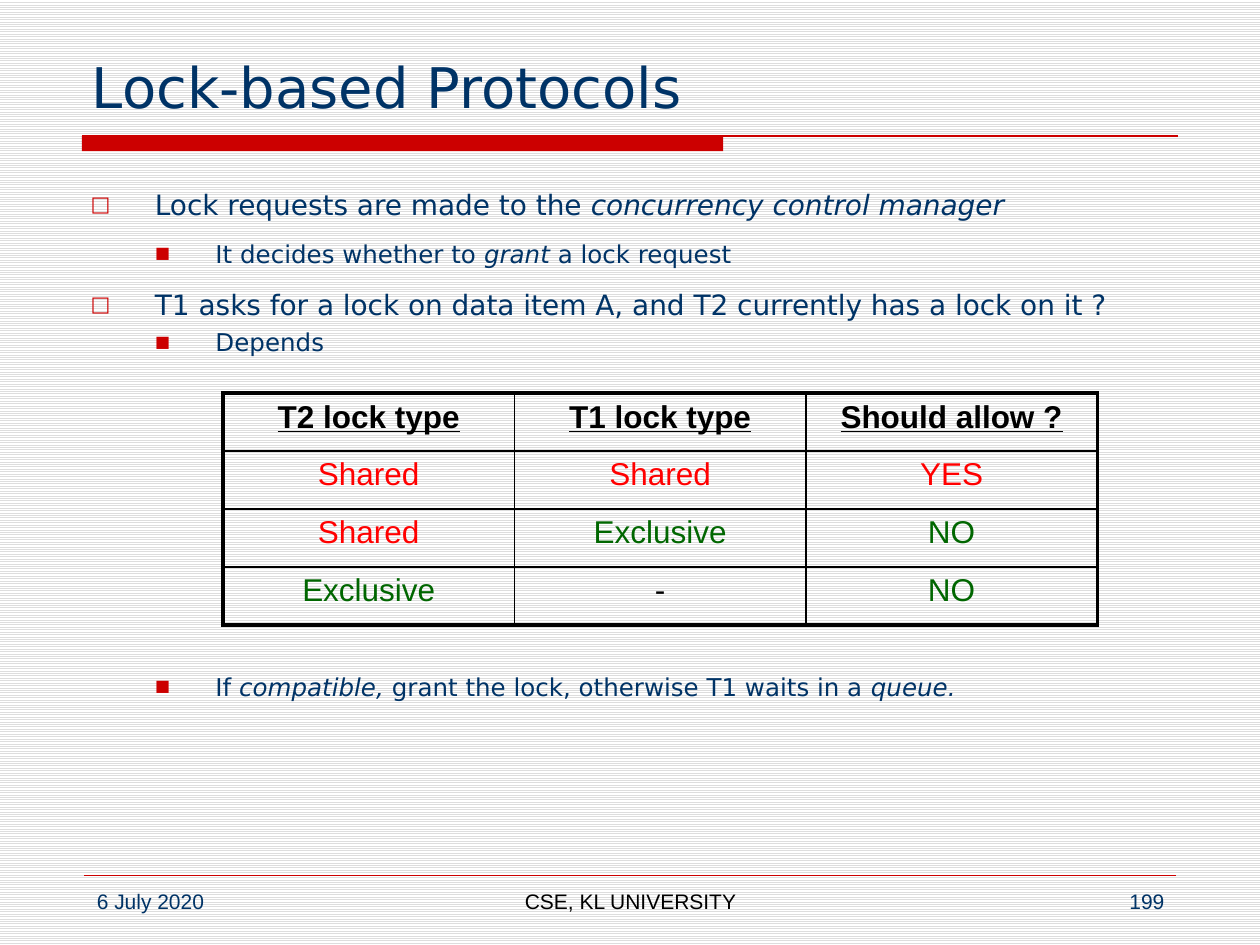
from lxml.etree import SubElement
from pptx import Presentation
from pptx.dml.color import RGBColor
from pptx.enum.dml import MSO_PATTERN
from pptx.enum.shapes import MSO_CONNECTOR, MSO_SHAPE
from pptx.enum.text import MSO_ANCHOR, MSO_AUTO_SIZE, PP_ALIGN
from pptx.oxml.ns import qn
from pptx.util import Inches, Pt

deck = Presentation()
deck.slide_width, deck.slide_height = Inches(10), Inches(7.5)
WIDE, HIGH = deck.slide_width, deck.slide_height
NAVY, RED, BLACK = "003366", "CC0000", "000000"
SANS = "DejaVu Sans"


def area(*shares):
    return [int(s * size / 100) for s, size in zip(shares, (WIDE, HIGH) * 2)]


def style(item, size, face, tint):
    item.font.size, item.font.name = Pt(size), face
    item.font.color.rgb = RGBColor.from_string(tint)


slide = deck.slides.add_slide(deck.slide_layouts[1])
shapes = slide.shapes
back = slide.background.fill
back.patterned()
back.pattern = MSO_PATTERN.LIGHT_HORIZONTAL
back.fore_color.rgb = RGBColor.from_string("DDDDDD")
back.back_color.rgb = RGBColor.from_string("FFFFFF")

bar = shapes.add_shape(MSO_SHAPE.RECTANGLE, *area(6.5, 14.4, 50.9, 1.6))
bar.shadow.inherit = False
bar.fill.solid()
bar.fill.fore_color.rgb = RGBColor.from_string(RED)
bar.line.fill.background()

for left, right, row, weight in [(6.5, 93.5, 14.4, 0.75), (6.7, 93.3, 92.67, 0.25)]:
    rule = shapes.add_connector(MSO_CONNECTOR.STRAIGHT, *area(left, row, right, row))
    rule.line.color.rgb = RGBColor.from_string(RED)
    rule.line.width = Pt(weight)
    SubElement(rule._element.spPr, qn("a:effectLst"))

title, body = shapes.title, slide.placeholders[1]
title.left, title.top, title.width, title.height = area(6.3, 2.27, 87.5, 11.07)
body.left, body.top, body.width, body.height = area(6.2, 17.73, 87.5, 73.33)
for holder in (title, body):
    holder.text_frame.auto_size = MSO_AUTO_SIZE.NONE
title.text_frame.vertical_anchor = MSO_ANCHOR.BOTTOM
title.text_frame.text = "Lock-based Protocols"
head = title.text_frame.paragraphs[0]
head.alignment = PP_ALIGN.LEFT
style(head, 32, SANS, NAVY)

levels = [("□", 16, 5.1, 5.1, 75), ("■", 14, 9.9, 4.8, 65)]
points = [
    (0, 1.4, 0, ["Lock requests are made to the ", "concurrency control manager"]),
    (1, 1.4, 3.5, ["It decides whether to ", "grant ", "a lock request"]),
    (0, 1.4, 3.5, ["T1 asks for a lock on data item A, and T2 currently has a lock on it ?"]),
    (1, 1, 3.5, ["Depends"]),
    (1, 1, 180, ["If ", "compatible, ", "grant the lock, otherwise T1 waits in a ", "queue."]),
]
frame = body.text_frame
for n, (level, pitch, gap, parts) in enumerate(points):
    para = frame.add_paragraph() if n else frame.paragraphs[0]
    mark, size, margin, hang, scale = levels[level]
    para.level = level
    props = para._p.get_or_add_pPr()
    props.set("marL", str(int(margin * WIDE / 100)))
    props.set("indent", str(-int(hang * WIDE / 100)))
    tone = SubElement(props, qn("a:buClr"))
    SubElement(tone, qn("a:srgbClr"), val=RED)
    SubElement(props, qn("a:buSzPct"), val=str(scale * 1000))
    SubElement(props, qn("a:buFont"), typeface=SANS)
    SubElement(props, qn("a:buChar"), char=mark)
    para.line_spacing, para.space_before = pitch, Pt(gap)
    style(para, size, SANS, NAVY)
    for k, part in enumerate(parts):
        run = para.add_run()
        run.text = part
        if k % 2:
            run.font.italic = True

tints = {"Shared": "FF0000", "YES": "FF0000", "Exclusive": "006600", "NO": "006600"}
rows = [
    ["T2 lock type", "T1 lock type", "Should allow ?"],
    ["Shared", "Shared", "YES"],
    ["Shared", "Exclusive", "NO"],
    ["Exclusive", "-", "NO"],
]
grid = shapes.add_table(4, 3, *area(17.7, 41.6, 69.4, 24.53)).table
grid.first_row = grid.horz_banding = False
for r, row in enumerate(rows):
    for c, word in enumerate(row):
        cell = grid.cell(r, c)
        cell.text = word
        para = cell.text_frame.paragraphs[0]
        para.alignment = PP_ALIGN.CENTER
        style(para, 18, "Arial", tints.get(word, BLACK))
        para.font.bold = para.font.underline = r == 0
        props = cell._tc.get_or_add_tcPr()
        for side, outer in [("L", c == 0), ("R", c == 2), ("T", r == 0), ("B", r == 3)]:
            edge = SubElement(props, qn("a:ln" + side), w=str(Pt(2.25 if outer else 1)))
            ink = SubElement(edge, qn("a:solidFill"))
            SubElement(ink, qn("a:srgbClr"), val=BLACK)
        cell.fill.background()

foot = [
    (6.7, 21.7, "6 July 2020", PP_ALIGN.LEFT, NAVY),
    (34.2, 31.7, "CSE, KL UNIVERSITY", PP_ALIGN.CENTER, BLACK),
    (71.7, 21.7, "199", PP_ALIGN.RIGHT, NAVY),
]
for left, width, words, align, tint in foot:
    frame = shapes.add_textbox(*area(left, 93.33, width, 4.67)).text_frame
    frame.word_wrap = True
    frame.text = words
    para = frame.paragraphs[0]
    para.alignment = align
    style(para, 12, "Arial", tint)

deck.save("out.pptx")
